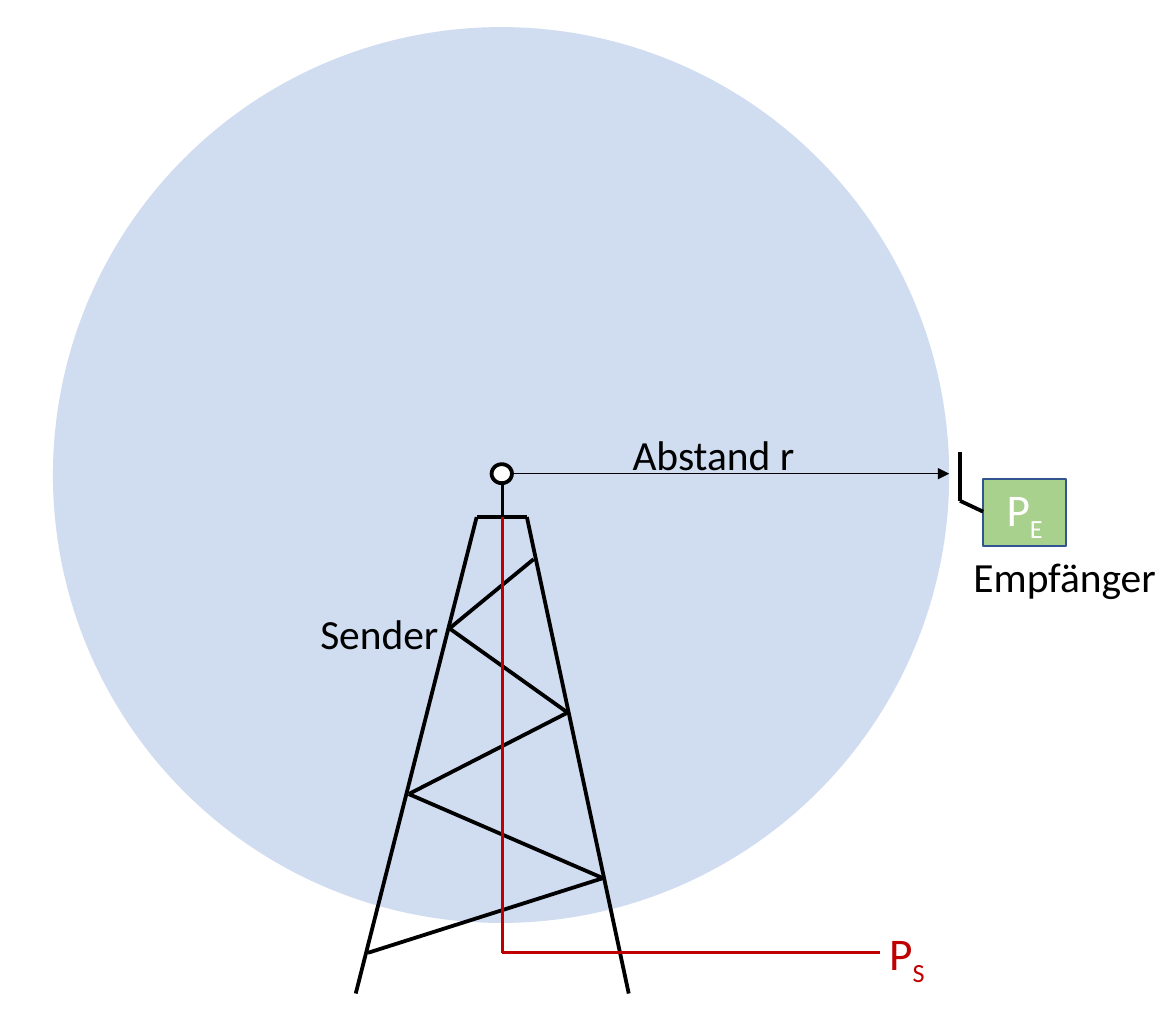
from lxml.etree import SubElement
from pptx import Presentation
from pptx.dml.color import RGBColor
from pptx.enum.shapes import MSO_CONNECTOR, MSO_SHAPE
from pptx.enum.text import MSO_ANCHOR, PP_ALIGN
from pptx.oxml.ns import qn
from pptx.util import Inches, Pt

BLACK, WHITE, RED = "000000", "FFFFFF", "C00000"
BLANK_LAYOUT = 6


def color(hex_code):
    return RGBColor.from_string(hex_code)


def write_text(frame, text, size=22, ink=BLACK, subscript="", align=PP_ALIGN.LEFT):
    """Write one paragraph, optionally ending in a subscript."""
    frame.word_wrap = True
    para = frame.paragraphs[0]
    para.alignment = align
    for part, baseline in ((text, 0), (subscript, -25000)):
        if not part:
            continue
        span = para.add_run()
        span.text = part
        span.font.name = "Calibri"
        span.font.size = Pt(size)
        span.font.color.rgb = color(ink)
        if baseline:
            span.font._element.set("baseline", str(baseline))


class Sketch:
    """Draws on the current slide, or on a group of it."""

    def __init__(self, slide):
        self.slide = slide
        self.shapes = slide.shapes

    def start_group(self):
        self.shapes = self.slide.shapes.add_group_shape().shapes

    def end_group(self):
        self.shapes = self.slide.shapes

    def shape(self, kind, left, top, width, height, fill, outline=None, weight=2, opacity=100):
        shape = self.shapes.add_shape(kind, *map(Inches, (left, top, width, height)))
        shape.shadow.inherit = False
        shape.fill.solid()
        shape.fill.fore_color.rgb = color(fill)
        if opacity < 100:
            fill_color = shape._element.spPr.find(qn("a:solidFill"))[0]
            SubElement(fill_color, qn("a:alpha")).set("val", str(opacity * 1000))
        if outline:
            shape.line.color.rgb = color(outline)
            shape.line.width = Pt(weight)
        else:
            shape.line.fill.background()
        return shape

    def path_lines(self, *points, ink=BLACK, weight=2, arrow=False):
        """Join the points one after the other with straight lines."""
        for start, end in zip(points, points[1:]):
            line = self.shapes.add_connector(MSO_CONNECTOR.STRAIGHT, *map(Inches, start + end))
            line.line.color.rgb = color(ink)
            line.line.width = Pt(weight)
            if arrow:
                SubElement(line.line._get_or_add_ln(), qn("a:tailEnd")).set("type", "triangle")
            SubElement(line._element.spPr, qn("a:effectLst"))

    def label(self, left, top, width, height, text, **text_format):
        box = self.shapes.add_textbox(*map(Inches, (left, top, width, height)))
        write_text(box.text_frame, text, **text_format)


def draw_tower(sketch):
    sketch.start_group()
    sketch.path_lines((2.62, 7.32), (3.51, 3.81), (3.88, 3.81), (4.63, 7.32))
    sketch.path_lines((3.93, 4.12), (3.31, 4.63), (4.18, 5.25), (3.01, 5.85), (4.44, 6.47), (2.71, 7.02))
    sketch.path_lines((3.7, 3.57), (3.7, 3.81))
    sketch.shape(MSO_SHAPE.OVAL, 3.62, 3.42, 0.15, 0.14, WHITE, outline=BLACK)
    sketch.end_group()
    sketch.label(2.26, 4.43, 1.12, 0.47, "Sender")


def draw_receiver(sketch):
    receiver = sketch.shape(MSO_SHAPE.RECTANGLE, 7.24, 3.53, 0.61, 0.49, "A9D18E", outline="325491", weight=1)
    receiver.text_frame.vertical_anchor = MSO_ANCHOR.MIDDLE
    write_text(receiver.text_frame, "P", size=24, ink=WHITE, subscript="E", align=PP_ALIGN.CENTER)
    sketch.path_lines((7.24, 3.77), (7.07, 3.69), (7.07, 3.33))
    sketch.label(7.07, 4.01, 1.59, 0.47, "Empfänger")


def main():
    deck = Presentation()
    deck.slide_width, deck.slide_height = Inches(8.66), Inches(7.5)
    sketch = Sketch(deck.slides.add_slide(deck.slide_layouts[BLANK_LAYOUT]))

    sketch.shape(MSO_SHAPE.OVAL, 0.39, 0.2, 6.6, 6.6, "8FAADC", opacity=41)
    draw_tower(sketch)
    sketch.path_lines((3.77, 3.49), (6.99, 3.49), weight=0.5, arrow=True)
    sketch.label(4.56, 3.11, 1.57, 0.47, "Abstand r")
    draw_receiver(sketch)
    sketch.path_lines((3.7, 3.81), (3.7, 7.02), (6.48, 7.02), ink=RED, weight=1.5)
    sketch.label(6.45, 6.77, 0.7, 0.5, "P", size=24, ink=RED, subscript="S")

    deck.save("out.pptx")


if __name__ == "__main__":
    main()
